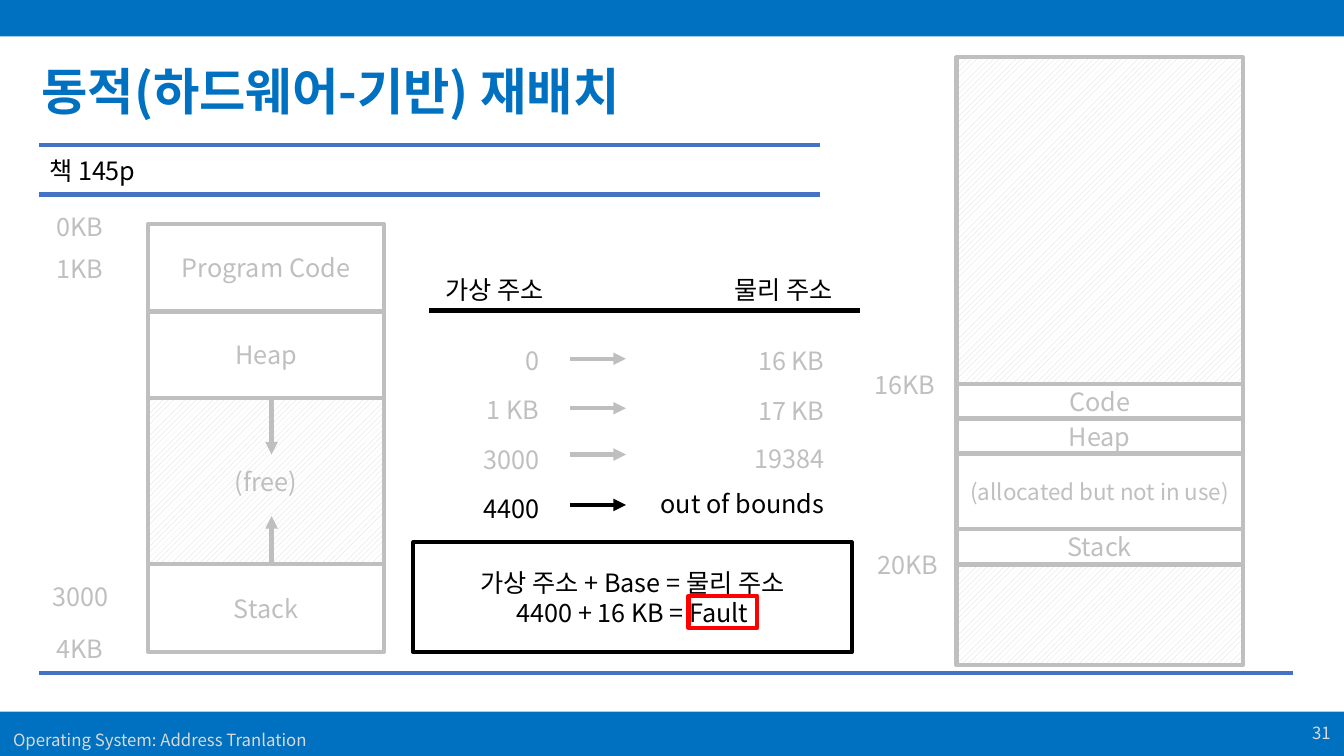
from dataclasses import dataclass
from typing import Optional

from lxml.etree import SubElement
from pptx import Presentation
from pptx.dml.color import RGBColor
from pptx.enum.dml import MSO_PATTERN
from pptx.enum.shapes import MSO_CONNECTOR, MSO_SHAPE
from pptx.enum.text import MSO_ANCHOR as Anchor, MSO_AUTO_SIZE as AutoSize, PP_ALIGN as Align
from pptx.oxml.ns import qn
from pptx.shapes.autoshape import Shape
from pptx.slide import Slide
from pptx.text.text import TextFrame
from pptx.util import Pt

FONT = "Noto Sans CJK KR"
BAR_BLUE = RGBColor(0x00, 0x70, 0xC0)
RULE_BLUE = RGBColor(0x44, 0x72, 0xC4)
BLACK = RGBColor(0x00, 0x00, 0x00)
WHITE = RGBColor(0xFF, 0xFF, 0xFF)
RED = RGBColor(0xFF, 0x00, 0x00)
MUTED = RGBColor(0xBF, 0xBF, 0xBF)
PALE = RGBColor(0xD9, 0xD9, 0xD9)

LABEL_HEIGHT = 28.8
LINE_WIDTH = 3


@dataclass(frozen=True)
class Box:
    left: float
    top: float
    width: float
    height: float = LABEL_HEIGHT


@dataclass(frozen=True)
class Segment:
    height: float
    name: str = ""
    size: float = 18
    hatched: bool = False


@dataclass(frozen=True)
class Memory:
    left: float
    top: float
    width: float
    segments: tuple[Segment, ...]


@dataclass(frozen=True)
class Label:
    text: str
    box: Box
    align: Align = Align.LEFT
    color: RGBColor = BLACK


@dataclass(frozen=True)
class Line:
    x1: float
    y1: float
    x2: float
    y2: float
    color: RGBColor
    arrow: bool = False


@dataclass(frozen=True)
class Translation:
    virtual: str
    physical: str
    physical_top: float
    arrow_y: float
    color: RGBColor = MUTED


PROCESS_MEMORY = Memory(105.8, 160, 168.5, (
    Segment(62.5, "Program Code"),
    Segment(62, "Heap"),
    Segment(118.5, "(free)", hatched=True),
    Segment(62.5, "Stack"),
))
PHYSICAL_MEMORY = Memory(683.3, 41, 204.5, (
    Segment(233.3, hatched=True),
    Segment(24.7, "Code"),
    Segment(25, "Heap"),
    Segment(54, "(allocated but not in use)", size=16),
    Segment(25.2, "Stack"),
    Segment(72, hatched=True),
))
TRANSLATIONS = (
    Translation("0", "16 KB", 243.4, 256.3),
    Translation("1 KB", "17 KB", 278.5, 291.6),
    Translation("3000", "19384", 313.4, 324.7),
    Translation("4400", "out of bounds", 345.6, 360.7, BLACK),
)
LABELS = (
    Label("책 145p", Box(28.1, 107.3, 82.8)),
    Label("가상 주소", Box(311, 192.2, 95.8)),
    Label("물리 주소", Box(517.7, 192.2, 95.8)),
)
ADDRESS_MARKS = (
    ("0KB", 28.1, 147.6),
    ("1KB", 28.1, 177.1),
    ("3000", 28.1, 411.8),
    ("4KB", 28.1, 448.6),
    ("16KB", 617, 260),
    ("20KB", 619.2, 388.8),
)
LINES = (
    Line(28.1, 103.7, 586, 103.7, RULE_BLUE),
    Line(28.1, 139, 586, 139, RULE_BLUE),
    Line(28.1, 481, 923.8, 481, RULE_BLUE),
    Line(306.7, 221.8, 614.2, 221.8, BLACK),
    Line(194, 284.5, 194, 324.7, MUTED, arrow=True),
    Line(194, 403, 194, 368.6, MUTED, arrow=True),
)


def write(frame: TextFrame, lines: tuple[str, ...], size: float, color: RGBColor,
          align: Align, anchor: Anchor, bold: bool = False, grow: bool = False) -> None:
    frame.word_wrap = True
    frame.auto_size = AutoSize.SHAPE_TO_FIT_TEXT if grow else AutoSize.NONE
    frame.vertical_anchor = anchor
    for index, line in enumerate(lines):
        paragraph = frame.add_paragraph() if index else frame.paragraphs[0]
        paragraph.alignment = align
        run = paragraph.add_run()
        run.text = line
        font = run.font
        font.name, font.size, font.bold = FONT, Pt(size), bold
        font.color.rgb = color
        SubElement(run._r.get_or_add_rPr(), qn("a:ea"), typeface=FONT)


def place(shape: Shape, box: Box) -> None:
    shape.left, shape.top = Pt(box.left), Pt(box.top)
    shape.width, shape.height = Pt(box.width), Pt(box.height)


def add_label(slide: Slide, label: Label) -> None:
    box = label.box
    text_box = slide.shapes.add_textbox(Pt(box.left), Pt(box.top), Pt(box.width), Pt(box.height))
    write(text_box.text_frame, (label.text,), 18, label.color, label.align, Anchor.TOP, grow=True)


def add_rectangle(slide: Slide, box: Box, outline: Optional[RGBColor] = None,
                  fill: Optional[RGBColor] = None, hatched: bool = False) -> Shape:
    shape = slide.shapes.add_shape(
        MSO_SHAPE.RECTANGLE, Pt(box.left), Pt(box.top), Pt(box.width), Pt(box.height))
    shape.shadow.inherit = False
    if hatched:
        shape.fill.patterned()
        shape.fill.pattern = MSO_PATTERN.WIDE_UPWARD_DIAGONAL
        shape.fill.fore_color.rgb = PALE
        shape.fill.back_color.rgb = WHITE
    elif fill is not None:
        shape.fill.solid()
        shape.fill.fore_color.rgb = fill
    else:
        shape.fill.background()
    if outline is not None:
        shape.line.color.rgb = outline
        shape.line.width = Pt(LINE_WIDTH)
    else:
        shape.line.fill.background()
    return shape


def add_line(slide: Slide, line: Line) -> None:
    connector = slide.shapes.add_connector(
        MSO_CONNECTOR.STRAIGHT, Pt(line.x1), Pt(line.y1), Pt(line.x2), Pt(line.y2))
    connector.line.color.rgb = line.color
    connector.line.width = Pt(LINE_WIDTH)
    if line.arrow:
        SubElement(connector.line._get_or_add_ln(), qn("a:tailEnd"), type="triangle")
    SubElement(connector._element.spPr, qn("a:effectLst"))


def add_memory(slide: Slide, memory: Memory) -> None:
    """Stack the segments downwards from the top of the memory column."""
    top = memory.top
    for segment in memory.segments:
        block = add_rectangle(slide, Box(memory.left, top, memory.width, segment.height),
                              MUTED, hatched=segment.hatched)
        if segment.name:
            write(block.text_frame, (segment.name,), segment.size, MUTED,
                  Align.CENTER, Anchor.MIDDLE)
        top += segment.height


def add_bars(slide: Slide) -> None:
    add_rectangle(slide, Box(0, 0, 960, 26), fill=BAR_BLUE)
    add_rectangle(slide, Box(0, 508.3, 960, 31.7), fill=BAR_BLUE)
    for text, box, align in (
        ("Operating System: Address Tranlation", Box(2.2, 514, 286.6), Align.LEFT),
        ("31", Box(741.6, 509, 216), Align.RIGHT),
    ):
        footer = slide.shapes.add_textbox(Pt(box.left), Pt(box.top), Pt(box.width), Pt(box.height))
        write(footer.text_frame, (text,), 12, PALE, align, Anchor.MIDDLE)


def add_translations(slide: Slide) -> None:
    for index, row in enumerate(TRANSLATIONS):
        virtual_box = Box(334, 243.4 + 35.05 * index, 58.4)
        add_label(slide, Label(row.virtual, virtual_box, Align.RIGHT, row.color))
        physical_box = Box(407.5, row.physical_top, 188.5)
        add_label(slide, Label(row.physical, physical_box, Align.RIGHT, row.color))
        add_line(slide, Line(407.5, row.arrow_y, 447.1, row.arrow_y, row.color, arrow=True))


def main() -> None:
    deck = Presentation()
    deck.slide_width, deck.slide_height = Pt(960), Pt(540)
    slide = deck.slides.add_slide(deck.slide_layouts[5])

    add_bars(slide)
    title = slide.shapes.title
    place(title, Box(22.3, 39.6, 598.3, 51))
    write(title.text_frame, ("동적(하드웨어-기반) 재배치",), 36, BAR_BLUE,
          Align.LEFT, Anchor.TOP, bold=True, grow=True)
    for label in LABELS:
        add_label(slide, label)
    add_translations(slide)

    formula = add_rectangle(slide, Box(295.2, 387.4, 313.2, 78.5), BLACK)
    write(formula.text_frame, ("가상 주소 + Base = 물리 주소", "4400 + 16 KB = Fault"),
          18, BLACK, Align.CENTER, Anchor.MIDDLE)
    add_rectangle(slide, Box(491.8, 425.5, 49, 23), RED)

    for memory in (PROCESS_MEMORY, PHYSICAL_MEMORY):
        add_memory(slide, memory)
    for text, left, top in ADDRESS_MARKS:
        add_label(slide, Label(text, Box(left, top, 58.3), Align.CENTER, MUTED))
    for line in LINES:
        add_line(slide, line)
    deck.save("out.pptx")


if __name__ == "__main__":
    main()
